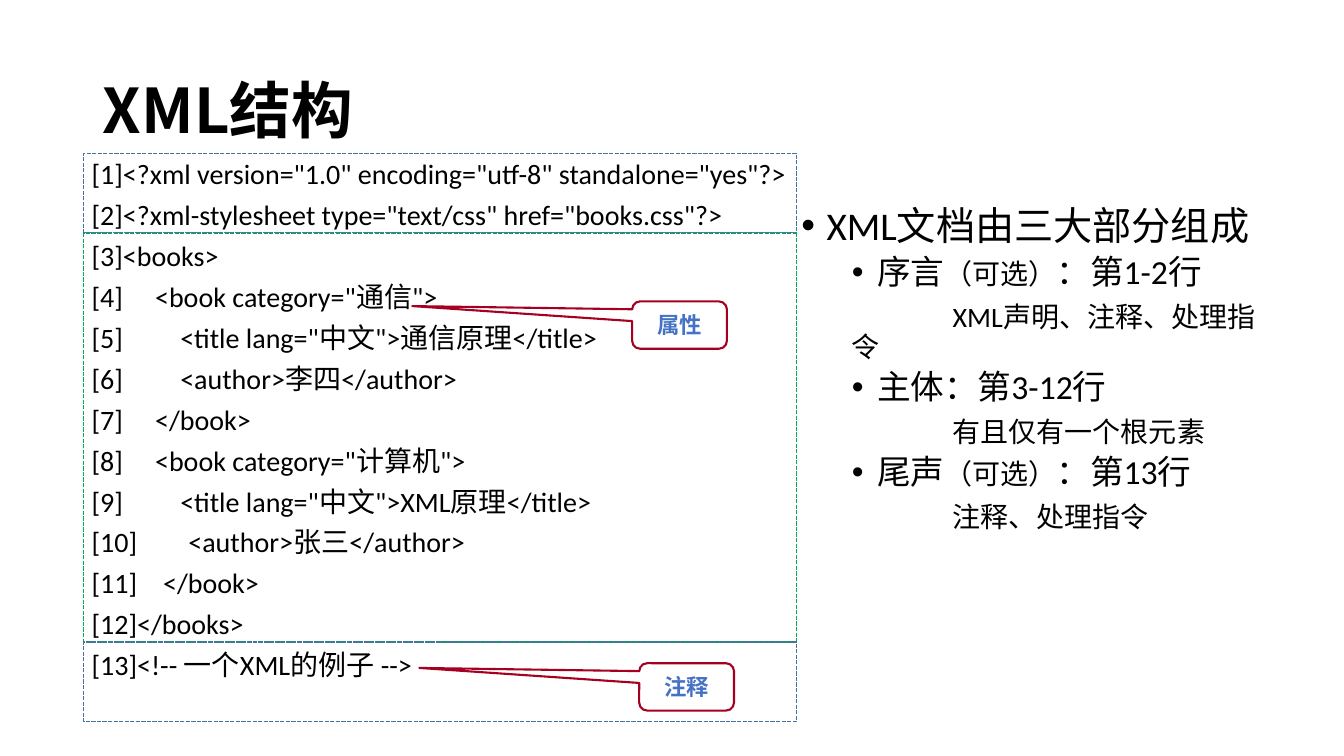
from dataclasses import dataclass

from lxml import etree
from pptx import Presentation
from pptx.dml.color import RGBColor
from pptx.enum.dml import MSO_LINE
from pptx.enum.lang import MSO_LANGUAGE_ID
from pptx.enum.shapes import MSO_SHAPE
from pptx.enum.text import MSO_ANCHOR, MSO_AUTO_SIZE, PP_ALIGN
from pptx.oxml.ns import qn
from pptx.util import Inches, Pt

RECTANGLE = MSO_SHAPE.RECTANGLE
CALLOUT = MSO_SHAPE.ROUNDED_RECTANGULAR_CALLOUT
DASHED = MSO_LINE.SQUARE_DOT
CHINESE = MSO_LANGUAGE_ID.SIMPLIFIED_CHINESE
MIDDLE = MSO_ANCHOR.MIDDLE
LEFT, CENTER = PP_ALIGN.LEFT, PP_ALIGN.CENTER
TITLE_ONLY = 5


@dataclass(frozen=True)
class Theme:
    black: str = "000000"
    blue: str = "4472C4"
    red: str = "A50021"
    steel: str = "43739E"
    green: str = "00B050"
    heading_font: str = "Noto Sans CJK SC"
    text_font: str = "Calibri"
    label_font: str = "Times New Roman"
    heading: int = 44
    topic: int = 28
    section: int = 24
    detail: int = 20
    label: int = 16


class SlideBuilder:
    def __init__(self, slide, theme):
        self.slide = slide
        self.theme = theme

    def apply(self, target, formats):
        for name, value in formats.items():
            setattr(target, name, value)

    def run(self, paragraph, text, size, face=None, color=None, bold=False):
        run = paragraph.add_run()
        run.text = text
        self.apply(run.font, {
            "name": face or self.theme.text_font,
            "size": Pt(size),
            "bold": bold,
            "language_id": CHINESE,
        })
        run.font.color.rgb = RGBColor.from_string(color or self.theme.black)

    def indent(self, paragraph, margin, first, bullet):
        properties = paragraph._p.get_or_add_pPr()
        properties.set("marL", str(Inches(margin)))
        properties.set("indent", str(Inches(first)))
        if bullet:
            face = etree.SubElement(properties, qn("a:buFont"))
            face.set("typeface", "Arial")
            etree.SubElement(properties, qn("a:buChar")).set("char", "•")

    def tab_stop(self, paragraph, position):
        stops = etree.SubElement(paragraph._p.get_or_add_pPr(), qn("a:tabLst"))
        stop = etree.SubElement(stops, qn("a:tab"))
        stop.set("pos", str(Inches(position)))
        stop.set("algn", "l")

    def title(self, text, box):
        heading = self.slide.shapes.title
        self.apply(heading, dict(zip(("left", "top", "width", "height"), map(Inches, box))))
        self.apply(heading.text_frame, {
            "vertical_anchor": MIDDLE, "word_wrap": True, "auto_size": MSO_AUTO_SIZE.NONE,
        })
        paragraph = heading.text_frame.paragraphs[0]
        self.apply(paragraph, {"alignment": LEFT, "line_spacing": 0.9})
        self.run(paragraph, text, self.theme.heading, self.theme.heading_font, bold=True)

    def paragraphs(self, box, count, line_spacing):
        frame = self.slide.shapes.add_textbox(*map(Inches, box)).text_frame
        frame.word_wrap = True
        for _ in range(count - 1):
            frame.add_paragraph()
        for paragraph in frame.paragraphs:
            self.apply(paragraph, {"line_spacing": line_spacing, "space_before": Pt(10)})
        return frame.paragraphs

    def outline(self, box, items):
        levels = {
            "topic": (0.25, -0.25, True, 10),
            "section": (0.75, -0.25, True, 5),
            "detail": (0.5, 1, False, 8),
        }
        for paragraph, (level, parts) in zip(self.paragraphs(box, len(items), 0.9), items):
            margin, first, bullet, before = levels[level]
            paragraph.space_before = Pt(before)
            self.indent(paragraph, margin, first, bullet)
            for text, size in parts:
                self.run(paragraph, text, size)

    def listing(self, box, lines):
        tab_positions = {1: 0.63, 2: 0.88}
        for number, (paragraph, (depth, code)) in enumerate(
                zip(self.paragraphs(box, len(lines), 0.8), lines), 1):
            gap = "\t" if depth else ""
            if depth:
                shift = 0.08 if number >= 10 else 0
                self.tab_stop(paragraph, tab_positions[depth] + shift)
            self.run(paragraph, f"[{number}]{gap}{code}", self.theme.detail)

    def outlined(self, kind, box, color, width):
        shape = self.slide.shapes.add_shape(kind, *map(Inches, box))
        shape.shadow.inherit = False
        shape.fill.background()
        shape.line.color.rgb = RGBColor.from_string(color)
        shape.line.width = Pt(width)
        return shape

    def callout(self, text, left, top):
        label = self.outlined(CALLOUT, (left, top, 0.94, 0.47), self.theme.red, 1.5)
        for index, value in enumerate((-2.82, -0.4, 0.17)):
            label.adjustments[index] = value
        label.text_frame.vertical_anchor = MIDDLE
        paragraph = label.text_frame.paragraphs[0]
        paragraph.alignment = CENTER
        self.run(paragraph, text, self.theme.label, self.theme.label_font,
                 self.theme.blue, bold=True)

    def region(self, top, height, color):
        frame = self.outlined(RECTANGLE, (0.83, top, 7.07, height), color, 1)
        frame.line.dash_style = DASHED


theme = Theme()
presentation = Presentation()
presentation.slide_width = Inches(13.33)
presentation.slide_height = Inches(7.5)
builder = SlideBuilder(
    presentation.slides.add_slide(presentation.slide_layouts[TITLE_ONLY]), theme)

optional = ("（可选）", theme.detail)
builder.title("XML结构", (0.92, 0.4, 11.5, 1.45))
builder.outline((7.85, 2, 4.88, 4.76), [
    ("topic", [("XML文档由三大部分组成", theme.topic)]),
    ("section", [("序言", theme.section), optional, ("：第1-2行", theme.section)]),
    ("detail", [("XML声明、注释、处理指令", theme.detail)]),
    ("section", [("主体：第3-12行", theme.section)]),
    ("detail", [("有且仅有一个根元素", theme.detail)]),
    ("section", [("尾声", theme.section), optional, ("：第13行", theme.section)]),
    ("detail", [("注释、处理指令", theme.detail)]),
])

books = []
for category, book_title, author in (("通信", "通信原理", "李四"), ("计算机", "XML原理", "张三")):
    books += [
        (1, f'<book category="{category}">'),
        (2, f'<title lang="中文">{book_title}</title>'),
        (2, f"<author>{author}</author>"),
        (1, "</book>"),
    ]
builder.listing((0.81, 1.57, 7.33, 5.63), [
    (0, '<?xml version="1.0" encoding="utf-8" standalone="yes"?>'),
    (0, '<?xml-stylesheet type="text/css" href="books.css"?>'),
    (0, "<books>"),
    *books,
    (0, "</books>"),
    (0, "<!-- 一个XML的例子 -->"),
])

builder.callout("注释", 6.34, 6.58)
builder.callout("属性", 6.27, 2.99)

region_top = 1.52
for region_height, region_color in ((0.79, theme.steel), (4.06, theme.green), (0.79, theme.steel)):
    builder.region(region_top, region_height, region_color)
    region_top += region_height

presentation.save("out.pptx")
